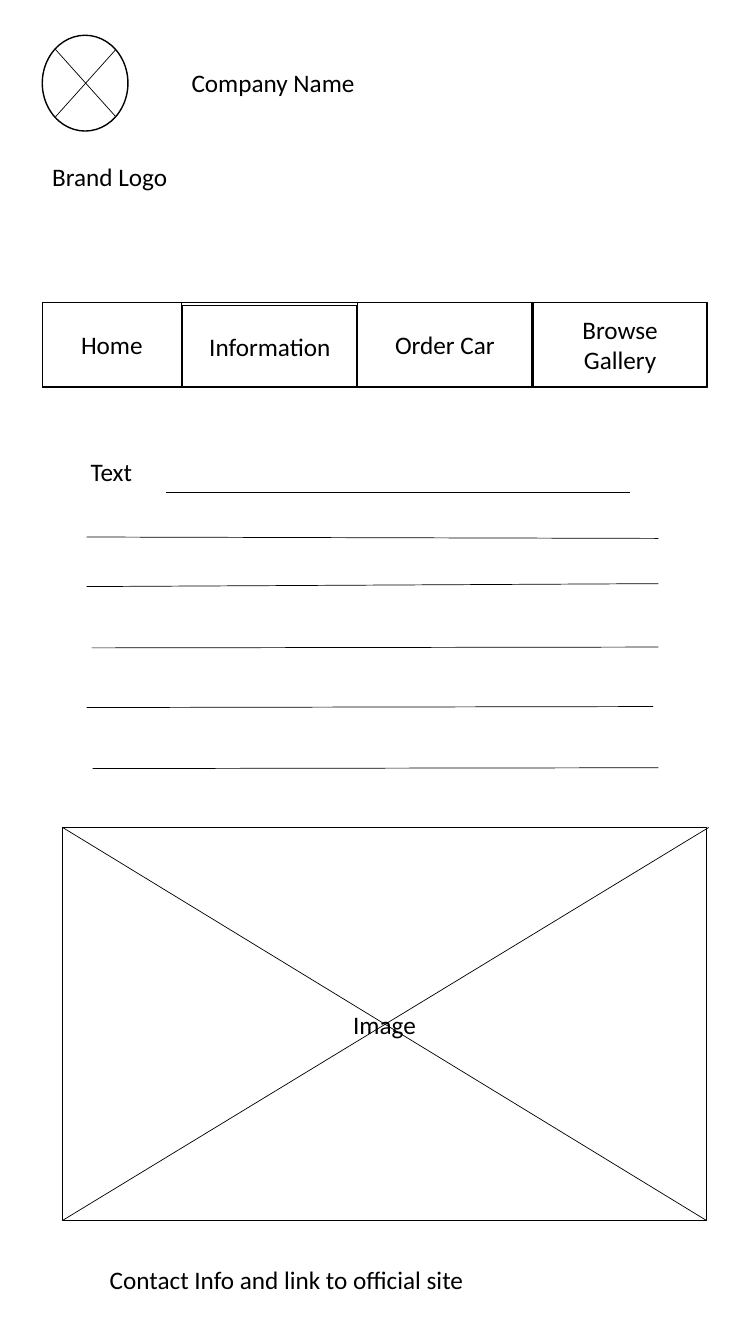
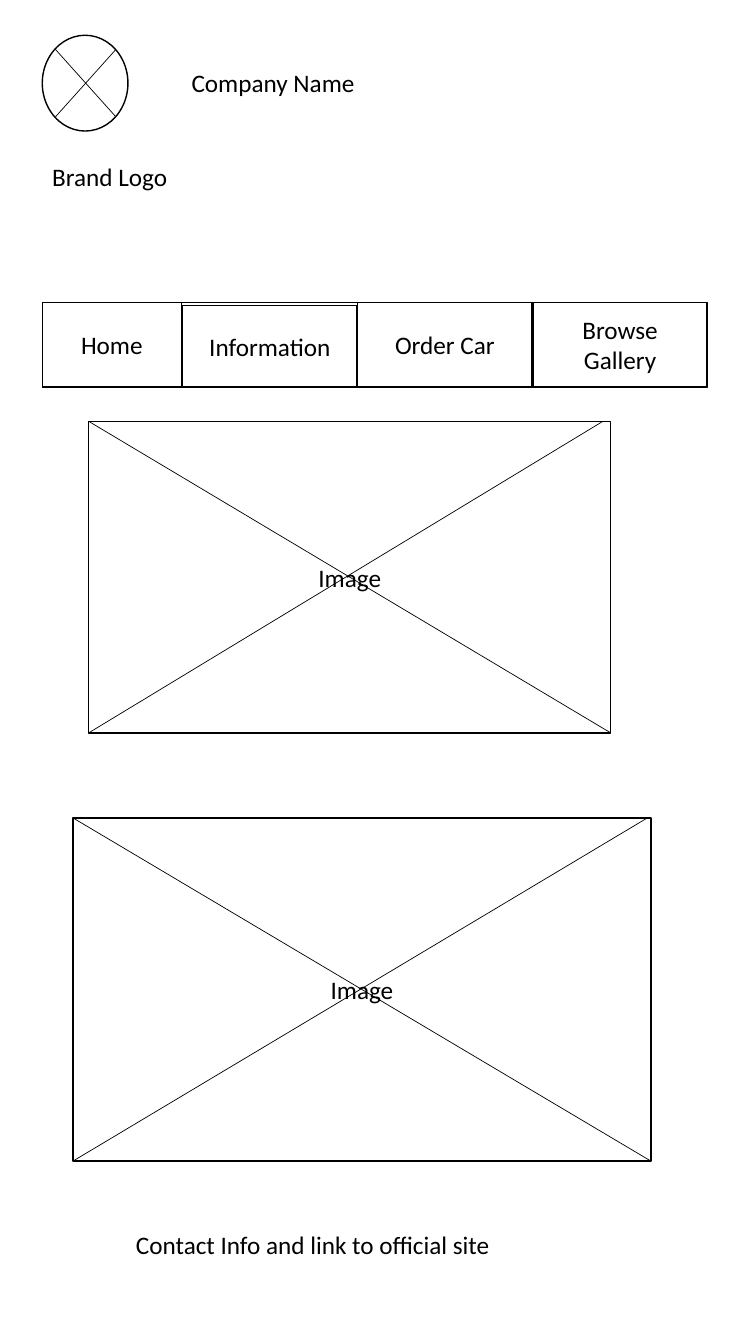
from dataclasses import dataclass

from lxml.etree import SubElement
from pptx import Presentation
from pptx.dml.color import RGBColor
from pptx.enum.shapes import MSO_CONNECTOR, MSO_SHAPE
from pptx.enum.text import MSO_ANCHOR, MSO_AUTO_SIZE, PP_ALIGN
from pptx.oxml.ns import qn
from pptx.slide import Slide
from pptx.text.text import TextFrame
from pptx.util import Pt

INK = RGBColor(0x00, 0x00, 0x00)
PAPER = RGBColor(0xFF, 0xFF, 0xFF)
FONT = "Calibri"
FONT_SIZE = 18
OUTLINE = 1
HAIRLINE = 0.5
LABEL_HEIGHT = 29
TITLE_ONLY = 5


@dataclass(frozen=True)
class Box:
    left: float
    top: float
    width: float
    height: float
    text: str = ""

    @property
    def right(self) -> float:
        return self.left + self.width

    @property
    def bottom(self) -> float:
        return self.top + self.height


@dataclass(frozen=True)
class Stroke:
    x1: float
    y1: float
    x2: float
    y2: float


@dataclass(frozen=True)
class ImageArea:
    frame: Box
    cross_right: float


COMPANY_NAME = Box(129.6, 44.6, 336.2, LABEL_HEIGHT, "Company Name")
BRAND_CAPTION = Box(30.2, 111.6, 99.4, LABEL_HEIGHT, "Brand Logo")
BRAND_EMBLEM = Box(30.2, 25.2, 61.2, 68.4)
EMBLEM_CROSS = Box(39.6, 35.3, 43.2, 48.2)
NAVIGATION = [
    Box(30.2, 216, 475.2, 60.5),
    Box(30.2, 216, 99.4, 60.5, "Home"),
    Box(130.3, 218.4, 124.8, 57.8, "Information"),
    Box(255.5, 216, 124.6, 60.5, "Order Car"),
    Box(381, 216, 123.8, 60.5, "Browse Gallery"),
]

BODY_LABEL = Box(57.6, 322.6, 162, LABEL_HEIGHT, "Text")
BODY_LINES = [
    Stroke(118.8, 351.4, 450, 351.4),
    Stroke(61.9, 383.6, 470.2, 384.6),
    Stroke(61.9, 419, 470.2, 416.9),
    Stroke(65.5, 462.8, 470.2, 462.2),
    Stroke(61.9, 505.4, 466.6, 504.7),
    Stroke(66.2, 549, 470.2, 548.4),
]
INFORMATION_IMAGE = ImageArea(Box(44.8, 591.1, 459.7, 280.6, "Image"), 506.2)
GALLERY_IMAGES = [
    ImageArea(Box(52.1, 584.2, 412.9, 245.2, "Image"), 462.5),
    ImageArea(Box(63.4, 301, 372.8, 222.5, "Image"), 430.6),
]


def style_text(frame: TextFrame, text: str, align: PP_ALIGN, anchor: MSO_ANCHOR) -> None:
    frame.text = text
    frame.word_wrap = True
    frame.vertical_anchor = anchor
    paragraph = frame.paragraphs[0]
    paragraph.alignment = align
    for run in paragraph.runs:
        run.font.name = FONT
        run.font.size = Pt(FONT_SIZE)
        run.font.color.rgb = INK


def add_label(slide: Slide, label: Box) -> None:
    caption = slide.shapes.add_textbox(
        Pt(label.left), Pt(label.top), Pt(label.width), Pt(label.height)
    )
    style_text(caption.text_frame, label.text, PP_ALIGN.LEFT, MSO_ANCHOR.TOP)
    caption.text_frame.auto_size = MSO_AUTO_SIZE.SHAPE_TO_FIT_TEXT


def add_outline(slide: Slide, box: Box, preset: MSO_SHAPE = MSO_SHAPE.RECTANGLE) -> None:
    outline = slide.shapes.add_shape(
        preset, Pt(box.left), Pt(box.top), Pt(box.width), Pt(box.height)
    )
    outline.shadow.inherit = False
    outline.fill.solid()
    outline.fill.fore_color.rgb = PAPER
    outline.line.color.rgb = INK
    outline.line.width = Pt(OUTLINE)
    if box.text:
        style_text(outline.text_frame, box.text, PP_ALIGN.CENTER, MSO_ANCHOR.MIDDLE)


def add_stroke(slide: Slide, stroke: Stroke) -> None:
    connector = slide.shapes.add_connector(
        MSO_CONNECTOR.STRAIGHT,
        Pt(stroke.x1), Pt(stroke.y1), Pt(stroke.x2), Pt(stroke.y2),
    )
    connector.line.color.rgb = INK
    connector.line.width = Pt(HAIRLINE)
    SubElement(connector._element.spPr, qn("a:effectLst"))


def add_cross(slide: Slide, box: Box, rising_right: float) -> None:
    add_stroke(slide, Stroke(box.left, box.top, box.right, box.bottom))
    add_stroke(slide, Stroke(box.left, box.bottom, rising_right, box.top))


def add_image_area(slide: Slide, area: ImageArea) -> None:
    add_outline(slide, area.frame)
    add_cross(slide, area.frame, area.cross_right)


def add_title(slide: Slide) -> None:
    title = slide.shapes.title
    title.left, title.top = Pt(COMPANY_NAME.left), Pt(COMPANY_NAME.top)
    title.width, title.height = Pt(COMPANY_NAME.width), Pt(COMPANY_NAME.height)
    style_text(title.text_frame, COMPANY_NAME.text, PP_ALIGN.LEFT, MSO_ANCHOR.TOP)
    title.text_frame.auto_size = MSO_AUTO_SIZE.NONE


def add_page(deck: Presentation, contact_left: float, contact_top: float) -> Slide:
    slide = deck.slides.add_slide(deck.slide_layouts[TITLE_ONLY])
    add_title(slide)
    add_outline(slide, BRAND_EMBLEM, MSO_SHAPE.OVAL)
    add_cross(slide, EMBLEM_CROSS, EMBLEM_CROSS.right)
    add_label(slide, BRAND_CAPTION)
    for entry in NAVIGATION:
        add_outline(slide, entry)
    add_label(
        slide,
        Box(contact_left, contact_top, 368.6, LABEL_HEIGHT,
            "Contact Info and link to official site"),
    )
    return slide


def build_information_page(deck: Presentation) -> None:
    slide = add_page(deck, 71.3, 899.3)
    add_label(slide, BODY_LABEL)
    for line in BODY_LINES:
        add_stroke(slide, line)
    add_image_area(slide, INFORMATION_IMAGE)


def build_gallery_page(deck: Presentation) -> None:
    slide = add_page(deck, 90, 874.8)
    for area in GALLERY_IMAGES:
        add_image_area(slide, area)


def main() -> None:
    deck = Presentation()
    deck.slide_width, deck.slide_height = Pt(540), Pt(960)
    build_information_page(deck)
    build_gallery_page(deck)
    deck.save("out.pptx")


if __name__ == "__main__":
    main()
